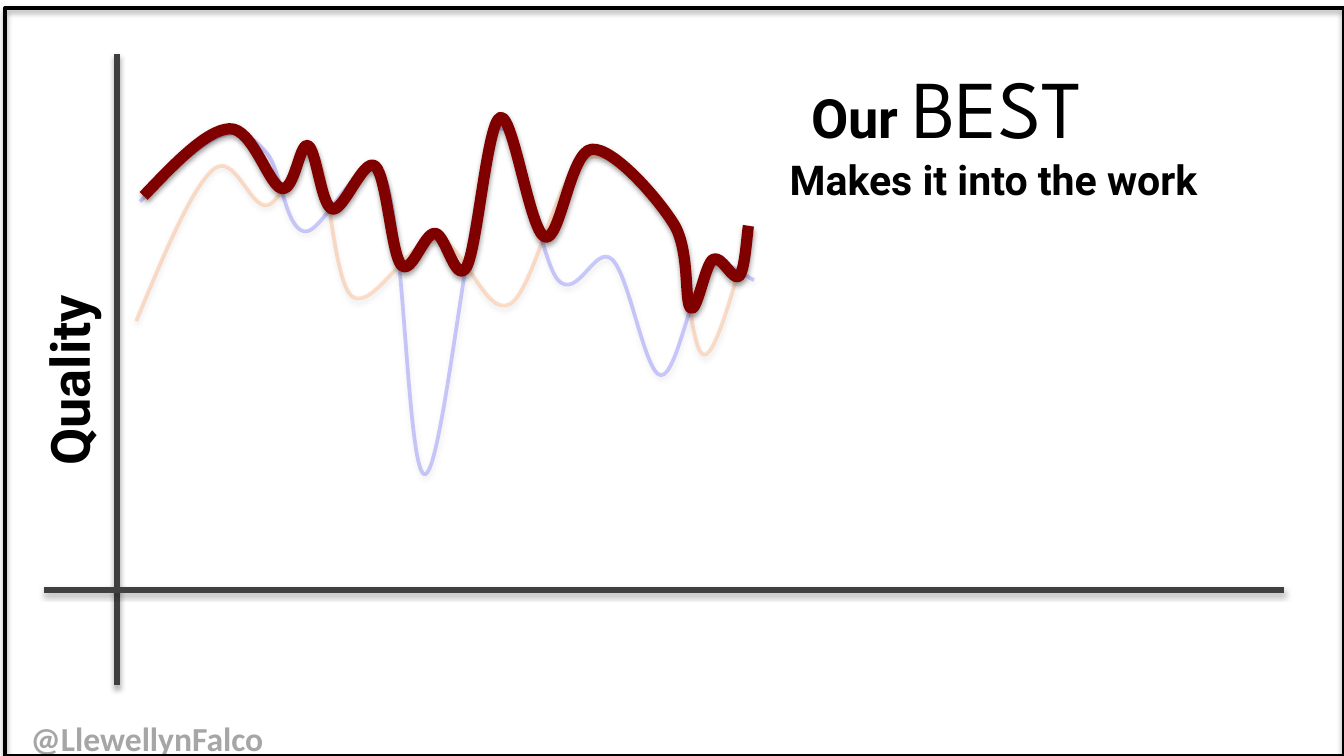
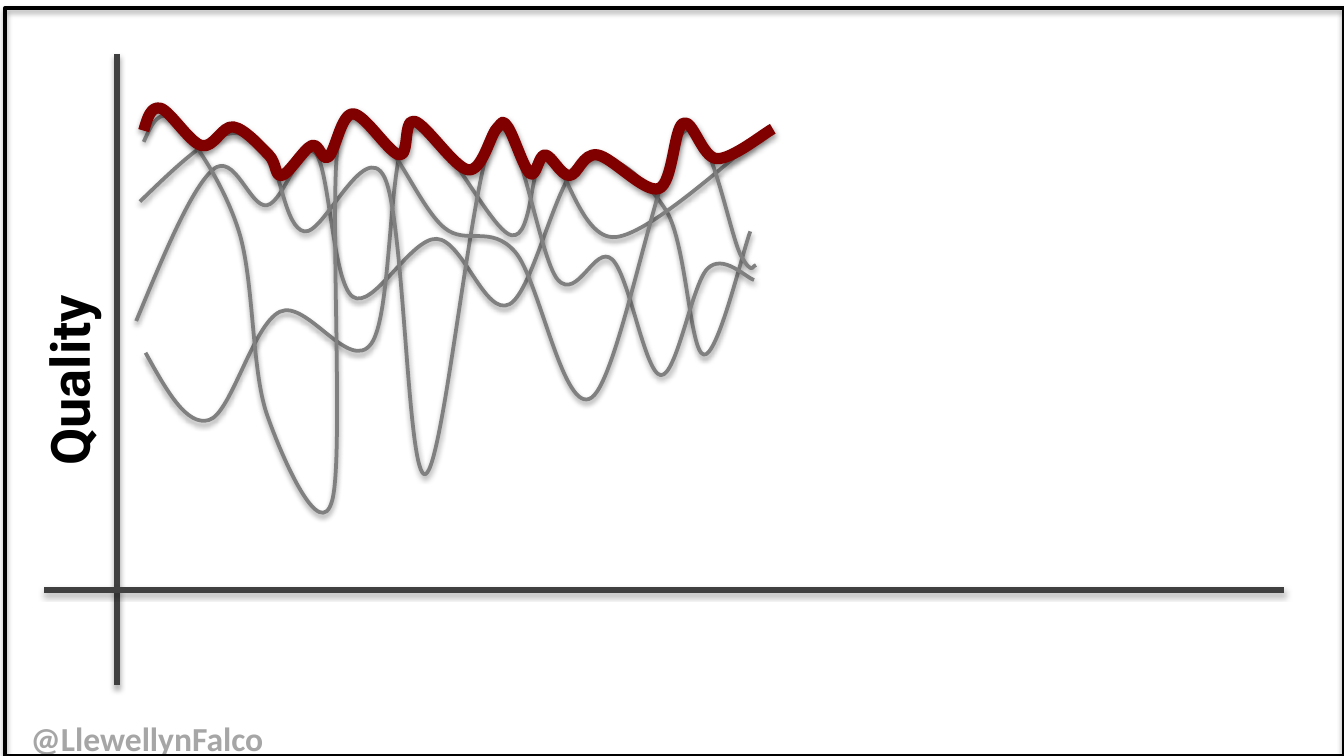
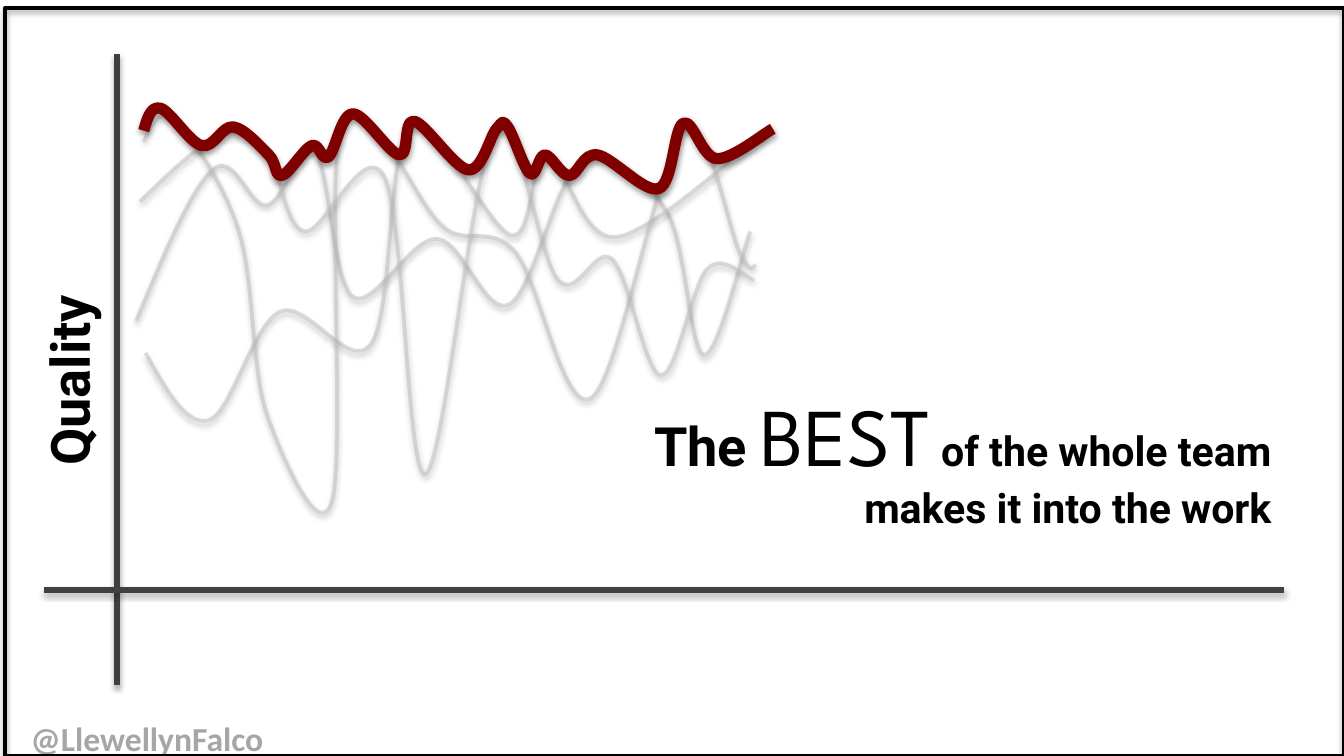
from lxml import etree
from pptx import Presentation
from pptx.dml.color import RGBColor
from pptx.enum.shapes import MSO_CONNECTOR, MSO_SHAPE
from pptx.enum.text import MSO_ANCHOR, PP_ALIGN
from pptx.oxml.ns import qn
from pptx.util import Pt

STRAIGHT = MSO_CONNECTOR.STRAIGHT
ROUNDED = MSO_SHAPE.ROUNDED_RECTANGLE
TOP, BOTTOM = MSO_ANCHOR.TOP, MSO_ANCHOR.BOTTOM
LEFT, CENTER, RIGHT = PP_ALIGN.LEFT, PP_ALIGN.CENTER, PP_ALIGN.RIGHT

COLORS = {
    "ink": "000000", "axis": "404040", "handle": "A6A6A6",
    "best": "800000", "orange": "FF6600", "blue": "0000FF",
    "gray": "808080", "pale": "BFBFBF",
}

# Text styles: font, size, bold, colour
HANDLE = ("Calibri", 18, True, "handle")
LARGE = ("Roboto", 29, True, "ink")
SMALL = ("Roboto", 22, True, "ink")
SHOUT = ("League Spartan", 44, False, "ink")

# Points that each person's quality curve passes through
ANN = [(73, 172), (114, 91), (143, 110), (169, 82), (189, 159), (234, 128),
       (273, 163), (312, 86), (357, 113), (377, 190), (402, 124)]
BOB = [(75, 108), (118, 73), (143, 82), (163, 124), (206, 95), (228, 254),
       (265, 71), (299, 150), (328, 139), (354, 201), (379, 144), (404, 150)]
CAL = [(78, 189), (112, 225), (150, 167), (199, 184), (220, 68), (274, 126),
       (293, 83), (330, 127), (410, 71)]
DEE = [(77, 76), (94, 65), (128, 124), (143, 222), (178, 268), (181, 78),
       (205, 76), (238, 122), (276, 135), (317, 213), (366, 71), (397, 137),
       (405, 142)]

# The best of two people, and of the whole team
PAIR_BEST = [(77, 105), (123, 69), (151, 101), (165, 78), (178, 112),
             (201, 89), (215, 142), (233, 125), (250, 143), (268, 63),
             (292, 127), (317, 80), (361, 120), (370, 165), (382, 139),
             (396, 148), (401, 121)]
TEAM_BEST = [(77, 70), (86, 58), (108, 78), (125, 68), (144, 83), (151, 94),
             (167, 78), (176, 84), (189, 61), (214, 83), (222, 65), (251, 91),
             (266, 69), (272, 68), (284, 93), (292, 83), (305, 94), (320, 83),
             (353, 101), (366, 66), (384, 85), (414, 69)]


def color(name):
    return RGBColor.from_string(COLORS[name])


def handles(points):
    """Control points of a smooth curve through the points, per segment."""
    ends = [points[0], *points, points[-1]]
    slopes = [((after[0] - before[0]) / 6, (after[1] - before[1]) / 6)
              for before, after in zip(ends, ends[2:])]
    segments = []
    for i, (start, end) in enumerate(zip(points, points[1:])):
        arrive = (end[0] - slopes[i + 1][0], end[1] - slopes[i + 1][1])
        leave = (start[0] + slopes[i][0], start[1] + slopes[i][1])
        if i == 0:
            leave = ((start[0] + arrive[0]) / 2, (start[1] + arrive[1]) / 2)
        segments.append((leave, arrive, end))
    return segments


class QualityDeck:
    def __init__(self):
        self.deck = Presentation()
        self.deck.slide_width, self.deck.slide_height = Pt(720), Pt(405)
        self.page = None

    def add_page(self):
        """Start a slide with the frame, axes and handle that all share."""
        self.page = self.deck.slides.add_slide(self.deck.slide_layouts[6])
        self.text(9.4, 358.6, 141, 51, [[("@LlewellynFalco", HANDLE)]], LEFT,
                  inset=(7.2, 3.6), anchor=BOTTOM, wrap=False)
        frame = self.page.shapes.add_shape(ROUNDED, Pt(2.9), Pt(4.3),
                                           Pt(717), Pt(401))
        frame.adjustments[0] = 0
        frame.fill.background()
        self.stroke(frame, "ink", 2.25)
        label = self.text(-203, 176.4, 479, 54.7, [[("Quality", LARGE)]], CENTER)
        label.rotation = 270
        self.axis(62.6, 28.8, 62.6, 367.2)
        self.axis(23.8, 316.1, 687.6, 316.1)

    def stroke(self, shape, name, width, opacity=100, shade=35, distance=1.8):
        """Set the outline and the soft shadow below it."""
        shape.line.color.rgb = color(name)
        shape.line.width = Pt(width)
        properties = shape._element.spPr
        if opacity < 100:
            tint = properties.find(qn("a:ln")).find(".//" + qn("a:srgbClr"))
            etree.SubElement(tint, qn("a:alpha"), val=str(opacity * 1000))
        effects = etree.SubElement(properties, qn("a:effectLst"))
        shadow = etree.SubElement(
            effects, qn("a:outerShdw"), blurRad=str(Pt(3.1)),
            dist=str(Pt(distance)), dir="5400000", rotWithShape="0")
        black = etree.SubElement(shadow, qn("a:srgbClr"), val=COLORS["ink"])
        etree.SubElement(black, qn("a:alpha"), val=str(shade * 1000))

    def axis(self, x1, y1, x2, y2):
        line = self.page.shapes.add_connector(STRAIGHT, Pt(x1), Pt(y1),
                                              Pt(x2), Pt(y2))
        self.stroke(line, "axis", 3)

    def curve(self, points, name, width=2, opacity=100):
        knots = [(Pt(x), Pt(y)) for x, y in points]
        builder = self.page.shapes.build_freeform(*knots[0])
        builder.add_line_segments(knots[1:], close=False)
        shape = builder.convert_to_shape()
        # Bend each straight segment
        outline = shape._element.find(".//" + qn("a:path"))
        for straight, bend in zip(outline.findall(qn("a:lnTo")), handles(knots)):
            bezier = etree.Element(qn("a:cubicBezTo"))
            for x, y in bend:
                etree.SubElement(bezier, qn("a:pt"), x=str(round(x - shape.left)),
                                 y=str(round(y - shape.top)))
            outline.replace(straight, bezier)
        shape.fill.background()
        self.stroke(shape, name, width, opacity, shade=38, distance=1.6)

    def best(self, points):
        self.curve(points, "best", 6)

    def text(self, x, y, width, height, lines, align, inset=(19.4, 10),
             anchor=TOP, wrap=True):
        """Write lines, each a list of (words, style) spans."""
        box = self.page.shapes.add_textbox(Pt(x), Pt(y), Pt(width), Pt(height))
        frame = box.text_frame
        frame.word_wrap, frame.vertical_anchor = wrap, anchor
        frame.margin_left = frame.margin_right = Pt(inset[0])
        frame.margin_top = frame.margin_bottom = Pt(inset[1])
        for i, spans in enumerate(lines):
            para = frame.add_paragraph() if i else frame.paragraphs[0]
            para.alignment = align
            for words, style in spans:
                span = para.add_run()
                span.text = words
                font = para.font if len(spans) == 1 else span.font
                font.name, size, font.bold, name = style
                font.size = Pt(size)
                font.color.rgb = color(name)
        return box


def main():
    show = QualityDeck()

    # Slide 1: the best of two people
    show.add_page()
    show.curve(ANN, "orange", opacity=20)
    message = show.text(294.5, 20.2, 425.5, 100, [
        [("Our ", LARGE), ("BEST", SHOUT)],
        [("Makes it into the work", SMALL)]], CENTER)
    indented = message.text_frame.paragraphs[1]._p.get_or_add_pPr()
    indented.set("marL", str(Pt(50)))
    show.curve(BOB, "blue", opacity=20)
    show.best(PAIR_BEST)

    # Slide 2: the best of four people
    show.add_page()
    for person in (ANN, CAL, BOB, DEE):
        show.curve(person, "gray")
    show.best(TEAM_BEST)

    # Slide 3: the team's message over faded curves
    show.add_page()
    for person in (ANN, CAL, DEE, BOB):
        show.curve(person, "pale", opacity=52)
    show.text(275, 195.8, 425.5, 100, [
        [("The ", LARGE), ("BEST", SHOUT), (" of the whole team", SMALL)],
        [("makes it into the work", SMALL)]], RIGHT)
    show.best(TEAM_BEST)

    show.deck.save("out.pptx")


if __name__ == "__main__":
    main()
